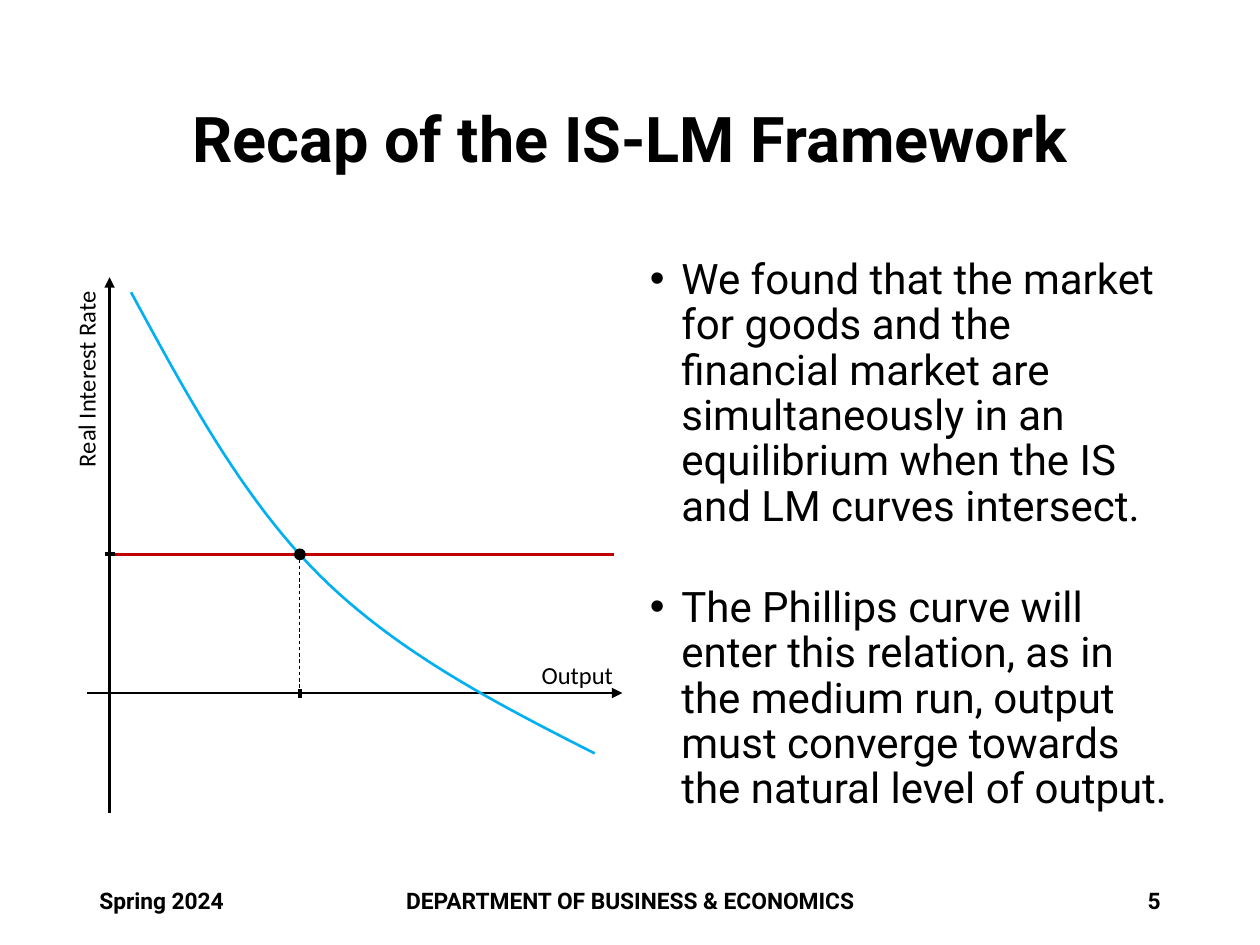
from lxml import etree
from pptx import Presentation
from pptx.dml.color import RGBColor
from pptx.enum import dml, shapes, text
from pptx.oxml import ns
from pptx.util import Inches, Pt

BLACK = RGBColor(0x00, 0x00, 0x00)
RED = RGBColor(0xC0, 0x00, 0x00)
BLUE = RGBColor(0x00, 0xB0, 0xF0)
LEFT, MID, RIGHT = text.PP_ALIGN.LEFT, text.PP_ALIGN.CENTER, text.PP_ALIGN.RIGHT
TOP, CENTER = text.MSO_ANCHOR.TOP, text.MSO_ANCHOR.MIDDLE

deck = Presentation()
deck.slide_width, deck.slide_height = Inches(10), Inches(7.5)
slide = deck.slides.add_slide(deck.slide_layouts[6])


def write(box, lines, size, face="Roboto", bold=False, align=LEFT,
          anchor=CENTER, wrap=True, space=1.0, bullet=False, gap=0):
    item = slide.shapes.add_textbox(*map(Inches, box))
    frame = item.text_frame
    frame.word_wrap, frame.vertical_anchor = wrap, anchor
    for i, words in enumerate(lines):
        para = frame.paragraphs[0] if i == 0 else frame.add_paragraph()
        look = {"alignment": align, "line_spacing": space,
                "space_before": Pt(gap if i else 0)}
        for key, val in look.items():
            setattr(para, key, val)
        if bullet:
            props = para._p.get_or_add_pPr()
            props.set("marL", str(Inches(0.25)))
            props.set("indent", str(Inches(-0.25)))
            etree.SubElement(props, ns.qn("a:buFont")).set("typeface", "Arial")
            etree.SubElement(props, ns.qn("a:buChar")).set("char", "•")
        run = para.add_run()
        run.text = words
        for key, val in {"name": face, "size": Pt(size), "bold": bold}.items():
            setattr(run.font, key, val)
        run.font.color.rgb = BLACK
    return item


def draw(x1, y1, x2, y2, color=BLACK, width=1.5, arrow=False, dash=False):
    item = slide.shapes.add_connector(
        shapes.MSO_CONNECTOR.STRAIGHT, *map(Inches, (x1, y1, x2, y2)))
    item.line.color.rgb, item.line.width = color, Pt(width)
    if dash:
        item.line.dash_style = dml.MSO_LINE.DASH
    if arrow:
        edge = item.line._get_or_add_ln()
        etree.SubElement(edge, ns.qn("a:tailEnd")).set("type", "triangle")
    etree.SubElement(item._element.spPr, ns.qn("a:effectLst"))


write((0.69, 0.4, 8.62, 1.45), ["Recap of the IS-LM Framework"], 36,
      bold=True, align=MID, space=0.9)
points = [
    "We found that the market for goods and the financial market are "
    "simultaneously in an equilibrium when the IS and LM curves intersect.",
    "The Phillips curve will enter this relation, as in the medium run, "
    "output must converge towards the natural level of output.",
]
write((5.06, 2, 4.34, 4.76), points, 24, anchor=TOP, space=0.9,
      bullet=True, gap=32)

for x, w, words, align in [
    (0.69, 2.25, "Spring 2024", LEFT),
    (1.85, 6.3, "DEPARTMENT OF BUSINESS & ECONOMICS", MID),
    (7.06, 2.25, "5", RIGHT),
]:
    write((x, 6.95, w, 0.4), [words], 13, bold=True, align=align)

eq_x, eq_y, base = 2.38, 4.4, 5.5
draw(0.91, eq_y, 4.87, eq_y, RED)
draw(0.69, base, 4.94, base, arrow=True)
draw(0.87, 6.45, 0.87, 2.2, arrow=True)
write((4.2, 5.19, 0.78, 0.34), ["Output"], 14, "Calibri", anchor=TOP, wrap=False)
rate = write((-0.12, 2.83, 1.61, 0.34), ["Real Interest Rate"], 14, "Calibri",
             anchor=TOP, wrap=False)
rate.rotation = 270
draw(0.83, eq_y, 0.91, eq_y, width=2.25)

bends = [
    ((1.04, 2.32), (1.48, 3.13), (1.92, 3.95), (2.53, 4.56)),
    ((2.53, 4.56), (3.14, 5.17), (3.93, 5.58), (4.72, 5.98)),
]
steps = 24
trail = []
for bend in bends:
    for i in range(1, steps + 1):
        t = i / steps
        mix = ((1 - t) ** 3, 3 * t * (1 - t) ** 2, 3 * t * t * (1 - t), t ** 3)
        trail.append([Inches(sum(m * p[k] for m, p in zip(mix, bend)))
                      for k in (0, 1)])
path = slide.shapes.build_freeform(*map(Inches, bends[0][0]))
path.add_line_segments(trail, close=False)
curve = path.convert_to_shape()
curve.shadow.inherit = False
curve.fill.background()
curve.line.color.rgb, curve.line.width = BLUE, Pt(1.5)

dot = slide.shapes.add_shape(
    shapes.MSO_SHAPE.OVAL,
    *map(Inches, (eq_x - 0.04, eq_y - 0.04, 0.08, 0.08)))
dot.shadow.inherit = False
dot.fill.solid()
dot.fill.fore_color.rgb = BLACK
dot.line.color.rgb, dot.line.width = BLACK, Pt(1)
draw(eq_x, 5.47, eq_x, 5.54, width=2.25)
draw(eq_x, 4.44, eq_x, base, width=0.5, dash=True)

deck.save("out.pptx")
